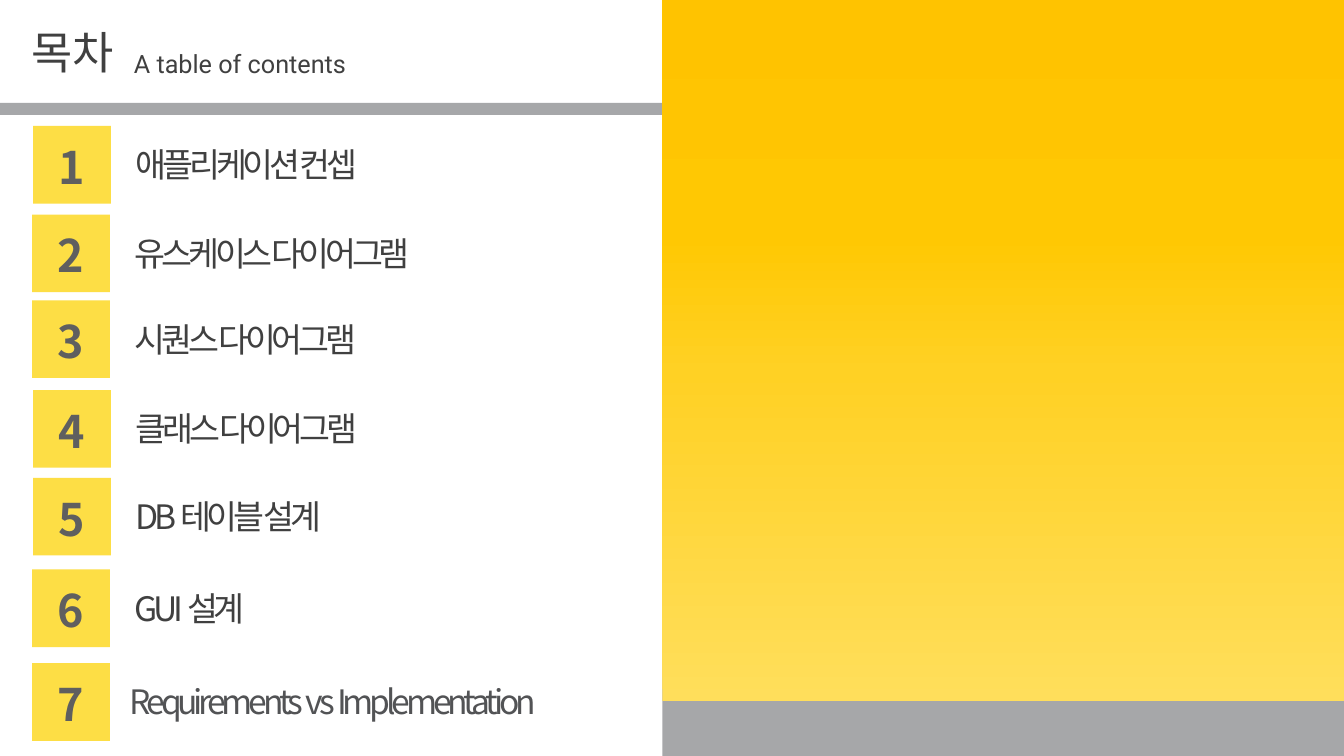
from lxml import etree
from pptx import Presentation
from pptx.dml.color import RGBColor
from pptx.enum.shapes import MSO_SHAPE
from pptx.enum.text import MSO_ANCHOR, MSO_AUTO_SIZE, PP_ALIGN
from pptx.oxml.ns import qn
from pptx.util import Inches, Pt

# Content: label, badge left, badge top, label left, label width
TITLE = "목차"
SUBTITLE = "A table of contents"
CHAPTERS = [
    ("애플리케이션 컨셉", 0.33, 1.25, 1.25, 2.76),
    ("유스케이스 다이어그램", 0.32, 2.13, 1.24, 3.34),
    ("시퀀스 다이어그램", 0.32, 2.98, 1.24, 2.76),
    ("클래스 다이어그램", 0.33, 3.87, 1.25, 2.76),
    ("DB 테이블 설계", 0.33, 4.74, 1.25, 3.18),
    ("GUI 설계", 0.32, 5.65, 1.24, 3.18),
    ("Requirements  vs  Implementation", 0.32, 6.58, 1.19, 4.7),
]
COLORS = {
    "gray": "A6A7A9",
    "badge": "FDDE45",
    "number": "5F5F5F",
    "text": "404040",
    "last": "525355",
}
PANEL_STOPS = [(0, "FFDE5B"), (47, "FFD124"), (66, "FFC803"), (100, "FFC300")]
HEAD_FONT, LIST_FONT = "Roboto", "Noto Sans CJK KR"
BADGE = 0.77
LABEL_DROP, LABEL_HEIGHT = 0.13, 0.5

prs = Presentation()
prs.slide_width, prs.slide_height = Inches(13.33), Inches(7.5)
slide = prs.slides.add_slide(prs.slide_layouts[5])


def add_block(left, top, width, height, color=None):
    block = slide.shapes.add_shape(
        MSO_SHAPE.RECTANGLE, *map(Inches, (left, top, width, height)))
    block.shadow.inherit = False
    block.line.fill.background()
    if color:
        block.fill.solid()
        block.fill.fore_color.rgb = RGBColor.from_string(color)
    return block


def write(frame, text, size, face, color, bold=False, align=PP_ALIGN.LEFT,
          spacing=None):
    frame.text = text
    line = frame.paragraphs[0]
    line.alignment = align
    font = line.font
    font.size, font.name, font.bold = Pt(size), face, bold
    font.color.rgb = RGBColor.from_string(color)
    # East Asian face and letter spacing
    for props in (font._element, line.runs[0].font._element):
        if spacing is not None:
            props.set("spc", str(spacing * 100))
        etree.SubElement(props, qn("a:ea")).set("typeface", face)


def add_label(left, top, width, height, text, size, face, color, spacing=None):
    label = slide.shapes.add_textbox(
        *map(Inches, (left, top, width, height)))
    label.text_frame.word_wrap = True
    write(label.text_frame, text, size, face, color, spacing=spacing)


# Gray base and rule
add_block(6.57, 1.02, 6.77, 6.48, COLORS["gray"])
add_block(0, 1.02, 6.67, 0.12, COLORS["gray"])

# Gradient panel
panel = add_block(6.57, 0, 6.77, 6.95)
panel.fill.gradient()
panel.fill.gradient_angle = 90
stops = panel._element.spPr.find(qn("a:gradFill")).find(qn("a:gsLst"))
stops.clear()
for position, color in PANEL_STOPS:
    stop = etree.SubElement(stops, qn("a:gs"), pos=str(position * 1000))
    etree.SubElement(stop, qn("a:srgbClr"), val=color)

# Heading
title = slide.shapes.title
title.left, title.top, title.width, title.height = map(
    Inches, (0.21, 0.19, 1.02, 0.64))
title.text_frame.word_wrap = False
title.text_frame.auto_size = MSO_AUTO_SIZE.NONE
title.text_frame.vertical_anchor = MSO_ANCHOR.TOP
write(title.text_frame, TITLE, 32, HEAD_FONT, COLORS["text"])
add_label(1.23, 0.43, 3.54, 0.4, SUBTITLE, 18, HEAD_FONT, COLORS["text"])

# Numbered chapters
for number, (chapter, left, top, label_left, label_width) in enumerate(CHAPTERS, 1):
    badge = add_block(left, top, BADGE, BADGE, COLORS["badge"])
    frame = badge.text_frame
    frame.margin_left = frame.margin_right = frame.margin_bottom = 0
    frame.margin_top = Inches(0.03)
    frame.vertical_anchor = MSO_ANCHOR.MIDDLE
    write(frame, str(number), 32, LIST_FONT, COLORS["number"], True,
          PP_ALIGN.CENTER)
    color = COLORS["last" if number == len(CHAPTERS) else "text"]
    add_label(label_left, top + LABEL_DROP, label_width, LABEL_HEIGHT,
              chapter, 24, LIST_FONT, color, spacing=-3)

prs.save("out.pptx")
